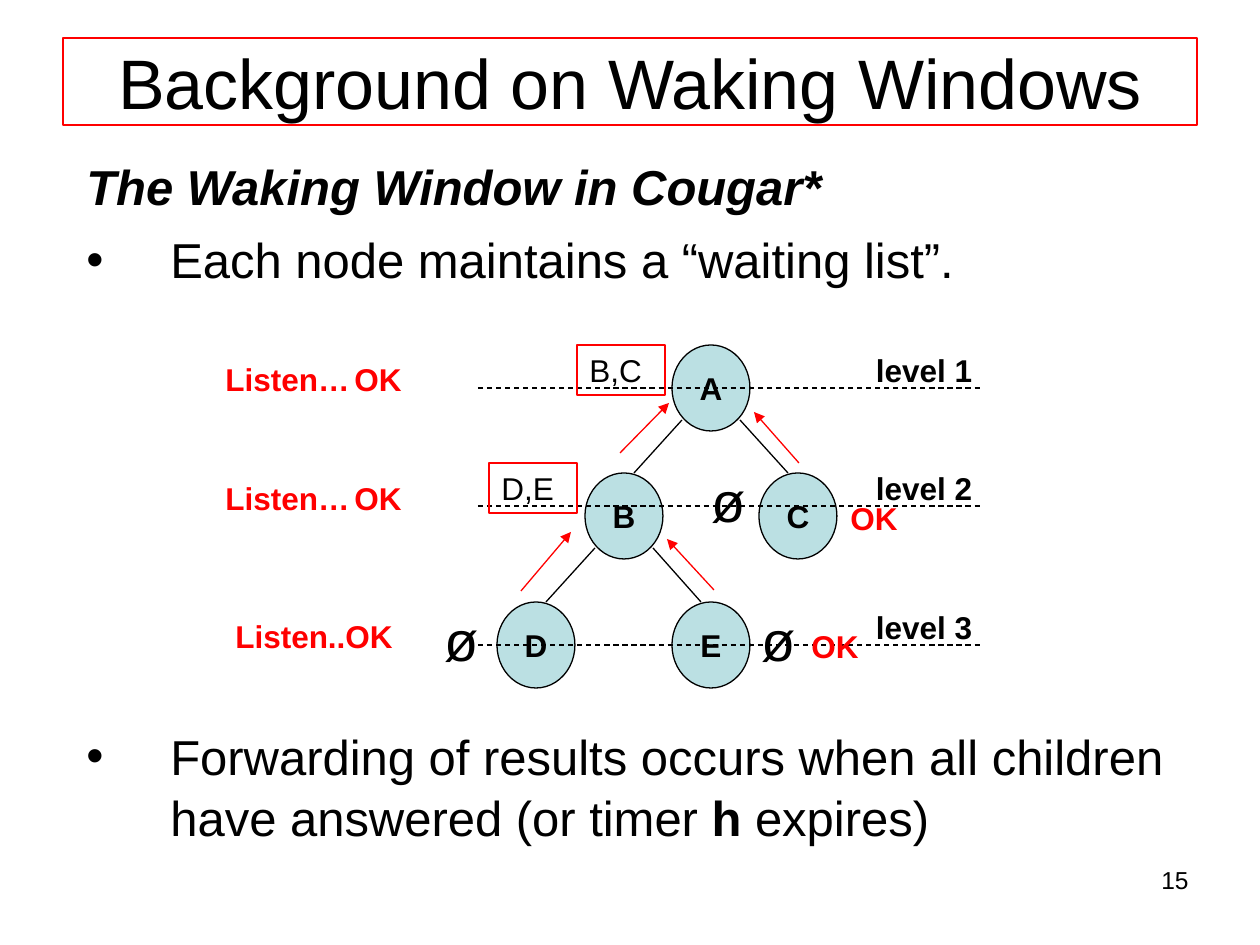
from dataclasses import dataclass

from lxml import etree
from pptx import Presentation
from pptx import util as u
from pptx.dml.color import RGBColor
from pptx.enum import dml, shapes, text
from pptx.oxml.ns import qn

PX = u.Inches(1) / 126
LEFT, MID, RIGHT = text.PP_ALIGN.LEFT, text.PP_ALIGN.CENTER, text.PP_ALIGN.RIGHT


@dataclass
class Theme:
    font: str = "Arial"
    ink: str = "000000"
    red: str = "FF0000"
    node: str = "BBE0E3"
    title: int = 40
    empty: int = 32
    body: int = 28
    label: int = 18
    small: int = 14
    line: float = 0.75


def px(*vals):
    return [round(v * PX) for v in vals]


class Deck:
    def __init__(self, theme):
        self.t = theme
        self.prs = Presentation()
        self.prs.slide_width, self.prs.slide_height = px(1260, 945)
        self.slide = self.prs.slides.add_slide(self.prs.slide_layouts[5])

    def style(self, para, size, color=None, bold=False, italic=False):
        for run in para.runs:
            font = run.font
            font.name, font.size = self.t.font, u.Pt(size)
            font.bold, font.italic = bold, italic
            font.color.rgb = RGBColor.from_string(color or self.t.ink)

    def edge(self, line, color):
        line.color.rgb = RGBColor.from_string(color)
        line.width = u.Pt(self.t.line)

    def title(self, words, box):
        shape = self.slide.shapes.title
        shape.left, shape.top, shape.width, shape.height = px(*box)
        self.edge(shape.line, self.t.red)
        frame = shape.text_frame
        frame.text = words
        frame.auto_size = text.MSO_AUTO_SIZE.NONE
        frame.vertical_anchor = text.MSO_ANCHOR.MIDDLE
        para = frame.paragraphs[0]
        para.alignment = MID
        self.style(para, self.t.title)

    def label(self, words, box, size=None, color=None, bold=False, align=LEFT):
        frame = self.slide.shapes.add_textbox(*px(*box)).text_frame
        frame.word_wrap = True
        frame.text = words
        para = frame.paragraphs[0]
        para.alignment = align
        self.style(para, size or self.t.label, color, bold)

    def body(self, box, items):
        frame = self.slide.shapes.add_textbox(*px(*box)).text_frame
        frame.word_wrap = True
        for i, (words, bullet, strong) in enumerate(items):
            para = frame.add_paragraph() if i else frame.paragraphs[0]
            para.text = words
            para.line_spacing = 1.04
            if i:
                para.space_before = u.Pt(7)
            if bullet:
                self.bullet(para)
            self.style(para, self.t.body, bold=strong, italic=strong)
        return frame

    def bullet(self, para):
        props = para._p.get_or_add_pPr()
        indent = px(84)[0]
        props.set("marL", str(indent))
        props.set("indent", str(-indent))
        etree.SubElement(props, qn("a:buFont")).set("typeface", self.t.font)
        etree.SubElement(props, qn("a:buChar")).set("char", "•")

    def shape(self, kind, words, box, fill, line, align, bold):
        shape = self.slide.shapes.add_shape(kind, *px(*box))
        shape.shadow.inherit = False
        if fill:
            shape.fill.solid()
            shape.fill.fore_color.rgb = RGBColor.from_string(fill)
        else:
            shape.fill.background()
        self.edge(shape.line, line)
        frame = shape.text_frame
        frame.text = words
        frame.word_wrap = not bold
        frame.vertical_anchor = text.MSO_ANCHOR.MIDDLE
        para = frame.paragraphs[0]
        para.alignment = align
        self.style(para, self.t.label, bold=bold)

    def node(self, name, x, y):
        box = (x - 39, y - 43, 78, 86)
        self.shape(shapes.MSO_SHAPE.OVAL, name, box, self.t.node, self.t.ink, MID, True)

    def wait(self, words, x, y):
        box = (x, y, 88, 50)
        self.shape(shapes.MSO_SHAPE.RECTANGLE, words, box, None, self.t.red, LEFT, False)

    def line(self, ends, color=None, dash=False, arrow=False):
        link = self.slide.shapes.add_connector(shapes.MSO_CONNECTOR.STRAIGHT, *px(*ends))
        self.edge(link.line, color or self.t.ink)
        if dash:
            link.line.dash_style = dml.MSO_LINE.DASH
        if arrow:
            tail = etree.SubElement(link.line._get_or_add_ln(), qn("a:tailEnd"))
            tail.set("type", "triangle")
        etree.SubElement(link._element.spPr, qn("a:effectLst"))


def main():
    t = Theme()
    deck = Deck(t)
    deck.title("Background on Waking Windows", (63, 38, 1134, 87))
    deck.body((74, 148, 1122, 150), [
        ("The Waking Window in Cougar*", False, True),
        ("Each node maintains a “waiting list”.", True, False),
    ])
    last = deck.body((74, 718, 1122, 130), [
        ("Forwarding of results occurs when all children have answered (or timer ", True, False),
    ]).paragraphs[0]
    for words in ("h ", "expires)"):
        last.add_run().text = words
    deck.style(last, t.body)
    last.runs[1].font.bold = True

    nodes = {"A": (711, 388), "B": (624, 516), "C": (798, 516),
             "D": (536, 645), "E": (711, 645)}
    for name, (x, y) in nodes.items():
        deck.node(name, x, y)
    for top, low in ("AB", "AC", "BD", "BE"):
        (x1, y1), (x2, y2) = nodes[top], nodes[low]
        side = 1 if x2 > x1 else -1
        deck.line((x1 + side * 29, y1 + 32, x2 - side * 10, y2 - 43))

    for i, y in enumerate((388, 506, 645), 1):
        deck.line((478, y, 983, y), dash=True)
        deck.label(f"level {i}", (856, y - 43, 136, 50), bold=True, align=MID)

    deck.wait("B,C", 577, 345)
    deck.wait("D,E", 489, 463)
    for x, y in ((432, 599), (699, 460), (749, 599)):
        deck.label("ø", (x, y, 70, 81), t.empty)

    notes = [("Listen…", 213, 354), ("Listen…", 213, 473), ("Listen..OK", 223, 611),
             ("OK", 342, 354), ("OK", 342, 473), ("OK", 838, 493), ("OK", 799, 621)]
    for words, x, y in notes:
        width = 100 if words == "OK" else 218
        deck.label(words, (x, y, width, 50), color=t.red, bold=True)
    for ends in ((521, 591, 571, 532), (714, 590, 667, 539),
                 (620, 453, 669, 403), (799, 463, 754, 412)):
        deck.line(ends, t.red, arrow=True)

    deck.label("15", (907, 859, 294, 66), t.small, align=RIGHT)
    deck.prs.save("out.pptx")


if __name__ == "__main__":
    main()
